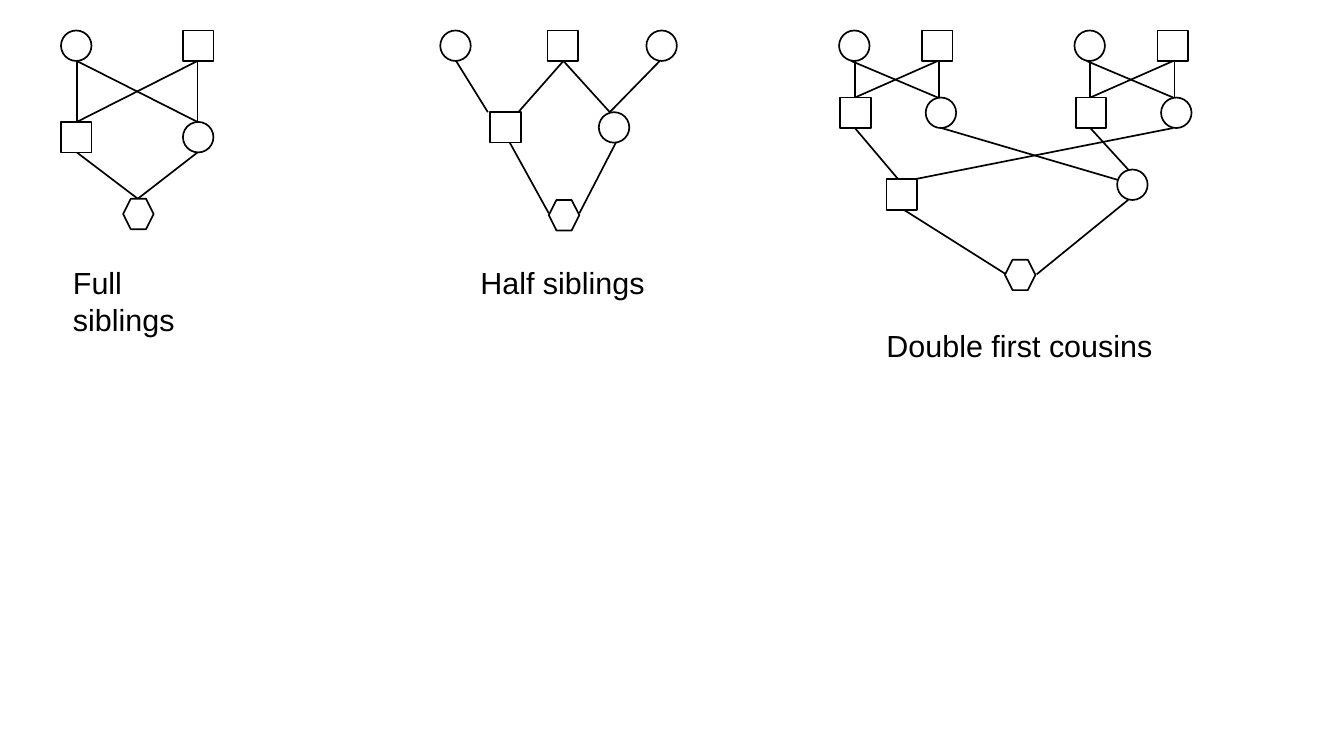
from lxml.etree import SubElement
from pptx import Presentation
from pptx.dml.color import RGBColor
from pptx.enum.shapes import MSO_CONNECTOR, MSO_SHAPE
from pptx.enum.text import MSO_AUTO_SIZE
from pptx.oxml.ns import qn
from pptx.util import Pt

EMU_PER_PX = 9144
COLORS = {"paper": "FFFFFF", "ink": "000000"}
CAPTION_FONT = {"name": "Arial", "size": Pt(18)}
CAPTION_FRAME = {"word_wrap": False, "auto_size": MSO_AUTO_SIZE.SHAPE_TO_FIT_TEXT}
MALE, FEMALE, OFFSPRING = MSO_SHAPE.RECTANGLE, MSO_SHAPE.OVAL, MSO_SHAPE.HEXAGON
NODE_SIZE = 25
GRANDPARENT_FAMILIES = (0, 193)


class PedigreeSlide:
    """Draws pedigree symbols, descent lines and captions on one slide."""

    def __init__(self, slide):
        self.slide = slide

    def lengths(self, *values):
        return [value * EMU_PER_PX for value in values]

    def color(self, name):
        return RGBColor.from_string(COLORS[name])

    def outline(self, line):
        line.color.rgb = self.color("ink")
        line.width = Pt(1)

    def node(self, kind, left, top):
        box = self.lengths(left, top, NODE_SIZE, NODE_SIZE)
        shape = self.slide.shapes.add_shape(kind, *box)
        shape.shadow.inherit = False
        shape.fill.solid()
        shape.fill.fore_color.rgb = self.color("paper")
        self.outline(shape.line)

    def descent(self, *ends):
        connector = self.slide.shapes.add_connector(
            MSO_CONNECTOR.STRAIGHT, *self.lengths(*ends))
        self.outline(connector.line)
        SubElement(connector._element.spPr, qn("a:effectLst"))

    def caption(self, text, left, top, width):
        box = self.lengths(left, top, width, 38)
        frame = self.slide.shapes.add_textbox(*box).text_frame
        for name, value in CAPTION_FRAME.items():
            setattr(frame, name, value)
        run = frame.paragraphs[0].add_run()
        run.text = text
        for name, value in CAPTION_FONT.items():
            setattr(run.font, name, value)
        run.font.color.rgb = self.color("ink")

    def pedigree(self, descents, nodes, caption):
        for ends in descents:
            self.descent(*ends)
        for node in nodes:
            self.node(*node)
        self.caption(*caption)


def full_siblings(drawing):
    descents = [(parent, 50, child, 100) for parent in (63, 162) for child in (63, 162)]
    descents += [(child, 125, 113, 163) for child in (63, 162)]
    nodes = [(FEMALE, 50, 25), (MALE, 150, 25), (MALE, 50, 100),
             (FEMALE, 150, 100), (OFFSPRING, 101, 163)]
    drawing.pedigree(descents, nodes, ("Full siblings", 50, 212, 150))


def half_siblings(drawing):
    descents = [(374, 50, 400, 92), (462, 50, 425, 92), (462, 50, 500, 92),
                (541, 50, 500, 92), (418, 117, 450, 175), (505, 117, 475, 175)]
    nodes = [(FEMALE, 361, 25), (MALE, 449, 25), (FEMALE, 530, 25),
             (MALE, 402, 92), (FEMALE, 491, 92), (OFFSPRING, 450, 164)]
    drawing.pedigree(descents, nodes, ("Half siblings", 384, 212, 155))


def double_first_cousins(drawing):
    descents = [(701, 105, 750, 163), (772, 105, 925, 150), (894, 105, 925, 139),
                (750, 147, 962, 105), (741, 172, 825, 225), (925, 164, 850, 225)]
    nodes = [(MALE, 727, 147), (FEMALE, 916, 139), (OFFSPRING, 824, 213)]
    for shift in GRANDPARENT_FAMILIES:
        descents += [(start + shift, 50, end + shift, 80) for start, end in
                     ((701, 701), (770, 770), (769, 701), (698, 769))]
        nodes += [(kind, left + shift, top) for kind, left, top in
                  ((FEMALE, 688, 25), (MALE, 756, 25), (MALE, 689, 80), (FEMALE, 759, 80))]
    drawing.pedigree(descents, nodes, ("Double first cousins", 717, 263, 238))


def main():
    presentation = Presentation()
    presentation.slide_width = 1102 * EMU_PER_PX
    presentation.slide_height = 620 * EMU_PER_PX
    blank_layout = presentation.slide_layouts[6]
    drawing = PedigreeSlide(presentation.slides.add_slide(blank_layout))
    full_siblings(drawing)
    half_siblings(drawing)
    double_first_cousins(drawing)
    presentation.save("out.pptx")


if __name__ == "__main__":
    main()
